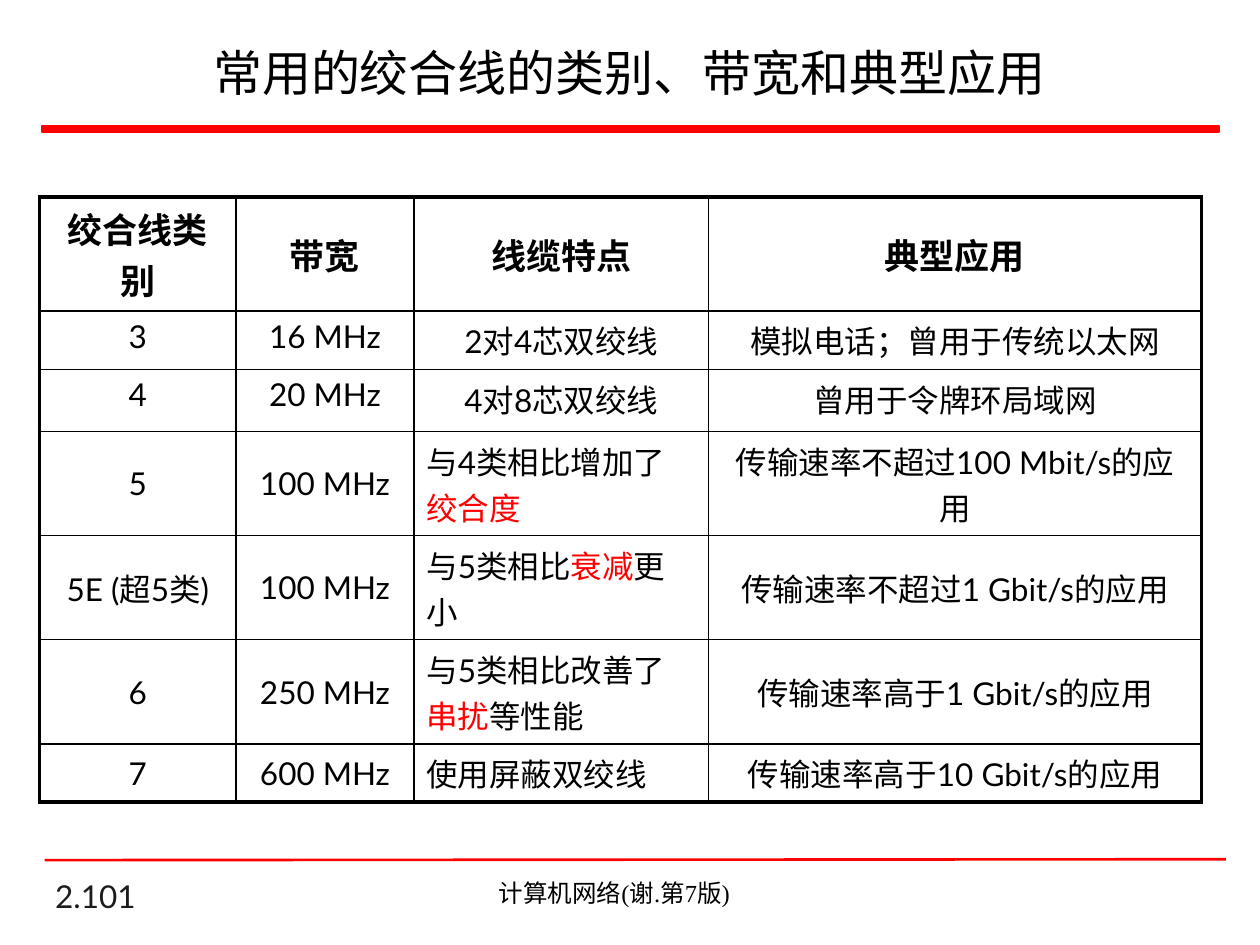
from lxml.etree import SubElement
from pptx import Presentation
from pptx.dml.color import RGBColor
from pptx.enum.shapes import MSO_CONNECTOR, MSO_SHAPE
from pptx.enum.text import MSO_ANCHOR, PP_ALIGN
from pptx.oxml.ns import qn
from pptx.util import Pt

BLACK, RED, WHITE, GRAY = "000000", "FF0000", "FFFFFF", "1C1C1C"
THIN, THICK = 1, 2.25


def color(value):
    return RGBColor.from_string(value)


class SlideBuilder:
    font_name = "Lato"

    def __init__(self, page):
        self.page = page

    def place(self, shape, left, top, width, height):
        shape.left, shape.top = Pt(left), Pt(top)
        shape.width, shape.height = Pt(width), Pt(height)

    def style(self, span, size, ink=BLACK, bold=False, font_name=None):
        span.font.name = font_name or self.font_name
        span.font.size = Pt(size)
        span.font.bold = bold
        span.font.color.rgb = color(ink)

    def title(self, text, *area):
        box = self.page.shapes.title
        self.place(box, *area)
        frame = box.text_frame
        frame.text = text
        frame.vertical_anchor = MSO_ANCHOR.MIDDLE
        para = frame.paragraphs[0]
        para.alignment = PP_ALIGN.CENTER
        self.style(para.runs[0], 28)

    def text(self, text, area, size, ink, align, anchor, font_name=None):
        box = self.page.shapes.add_textbox(*(Pt(length) for length in area))
        frame = box.text_frame
        frame.word_wrap = True
        frame.vertical_anchor = anchor
        frame.text = text
        para = frame.paragraphs[0]
        para.alignment = align
        self.style(para.runs[0], size, ink, font_name=font_name)

    def bar(self, *area):
        shape = self.page.shapes.add_shape(
            MSO_SHAPE.RECTANGLE, *(Pt(length) for length in area))
        shape.shadow.inherit = False
        shape.fill.solid()
        shape.fill.fore_color.rgb = color(RED)
        shape.line.color.rgb = color(RED)
        shape.line.width = Pt(1)

    def line(self, *ends):
        connector = self.page.shapes.add_connector(
            MSO_CONNECTOR.STRAIGHT, *(Pt(length) for length in ends))
        connector.line.color.rgb = color(RED)
        connector.line.width = Pt(1.5)
        SubElement(connector._element.spPr, qn("a:effectLst"))

    def borders(self, cell, widths):
        properties = cell._tc.get_or_add_tcPr()
        for side, width in zip("LRTB", widths):
            edge = SubElement(properties, qn(f"a:ln{side}"), w=str(Pt(width)))
            fill = SubElement(edge, qn("a:solidFill"))
            SubElement(fill, qn("a:srgbClr"), val=BLACK)

    def cell(self, cell, parts, size, bold, align, anchor):
        cell.vertical_anchor = anchor
        cell.fill.solid()
        cell.fill.fore_color.rgb = color(WHITE)
        para = cell.text_frame.paragraphs[0]
        para.alignment = align
        # Every second part is a highlighted term
        for index, part in enumerate(parts):
            span = para.add_run()
            span.text = part
            self.style(span, size, RED if index % 2 else BLACK, bold)

    def table(self, rows, left, top, widths, heights):
        last_row, last_column = len(heights) - 1, len(widths) - 1
        table = self.page.shapes.add_table(
            len(heights), len(widths), Pt(left), Pt(top),
            Pt(sum(widths)), Pt(sum(heights))).table
        table.first_row = table.horz_banding = False
        for column, width in zip(table.columns, widths):
            column.width = Pt(width)
        for row, height in zip(table.rows, heights):
            row.height = Pt(height)
        for r, row in enumerate(rows):
            for c, text in enumerate(row):
                cell = table.cell(r, c)
                outer = (c == 0, c == last_column, r == 0, r == last_row)
                self.borders(cell, [THICK if edge else THIN for edge in outer])
                header = r == 0
                feature = c == 2 and r > 2
                at_top = r in (1, 2) or (r, c) == (last_row, last_column)
                self.cell(cell, text.split("|"), 20 if header else 18, header,
                          PP_ALIGN.LEFT if feature else PP_ALIGN.CENTER,
                          MSO_ANCHOR.TOP if at_top else MSO_ANCHOR.MIDDLE)


# A bar marks where a highlighted term starts and ends
CABLE_ROWS = [
    ("绞合线类别", "带宽", "线缆特点", "典型应用"),
    ("3", "16 MHz", "2对4芯双绞线", "模拟电话；曾用于传统以太网"),
    ("4", "20 MHz", "4对8芯双绞线", "曾用于令牌环局域网"),
    ("5", "100 MHz", "与4类相比增加了|绞合度", "传输速率不超过100 Mbit/s的应用"),
    ("5E (超5类)", "100 MHz", "与5类相比|衰减|更小", "传输速率不超过1 Gbit/s的应用"),
    ("6", "250 MHz", "与5类相比改善了|串扰|等性能", "传输速率高于1 Gbit/s的应用"),
    ("7", "600 MHz", "使用屏蔽双绞线", "传输速率高于10 Gbit/s的应用"),
]


def main():
    deck = Presentation()
    deck.slide_width, deck.slide_height = Pt(720), Pt(540)
    builder = SlideBuilder(deck.slides.add_slide(deck.slide_layouts[5]))

    # Heading with its rule
    builder.bar(24, 72, 672.5, 3.6)
    builder.title("常用的绞合线的类别、带宽和典型应用", 28, 16, 663, 50)

    # Cable categories
    builder.table(CABLE_ROWS, 22.5, 112.5, (112.5, 101.5, 168.5, 281.5),
                  (65, 33, 35.5, 59.5, 59.5, 59.5, 33))

    # Footer
    builder.line(25.5, 491.5, 700.5, 491)
    builder.text("2.101", (24.5, 502.5, 150, 24), 18, GRAY,
                 PP_ALIGN.LEFT, MSO_ANCHOR.BOTTOM)
    builder.text("计算机网络(谢.第7版)", (204, 498, 294, 24.5), 14, BLACK,
                 PP_ALIGN.CENTER, MSO_ANCHOR.TOP, "Times New Roman")

    deck.save("out.pptx")


if __name__ == "__main__":
    main()
